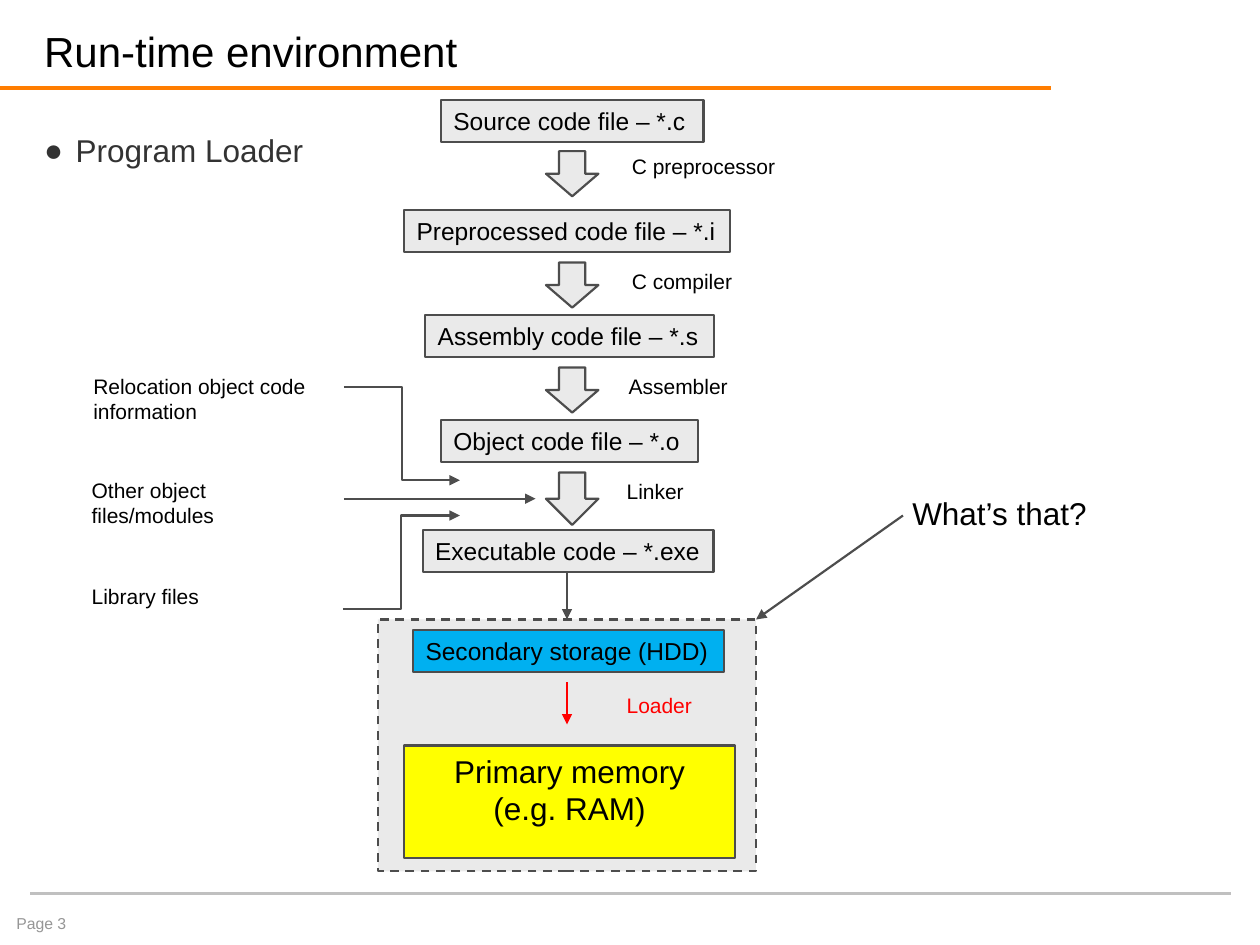
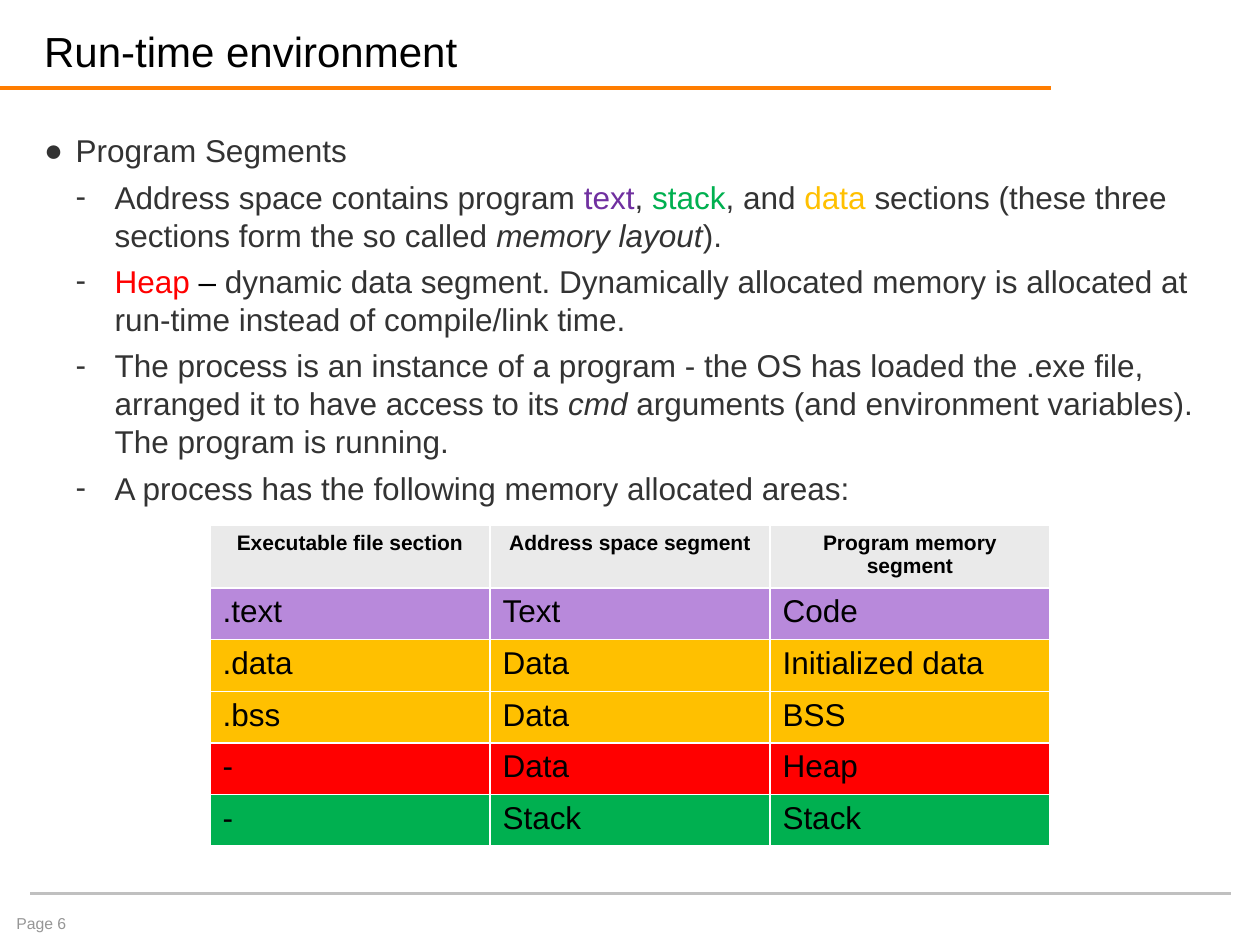
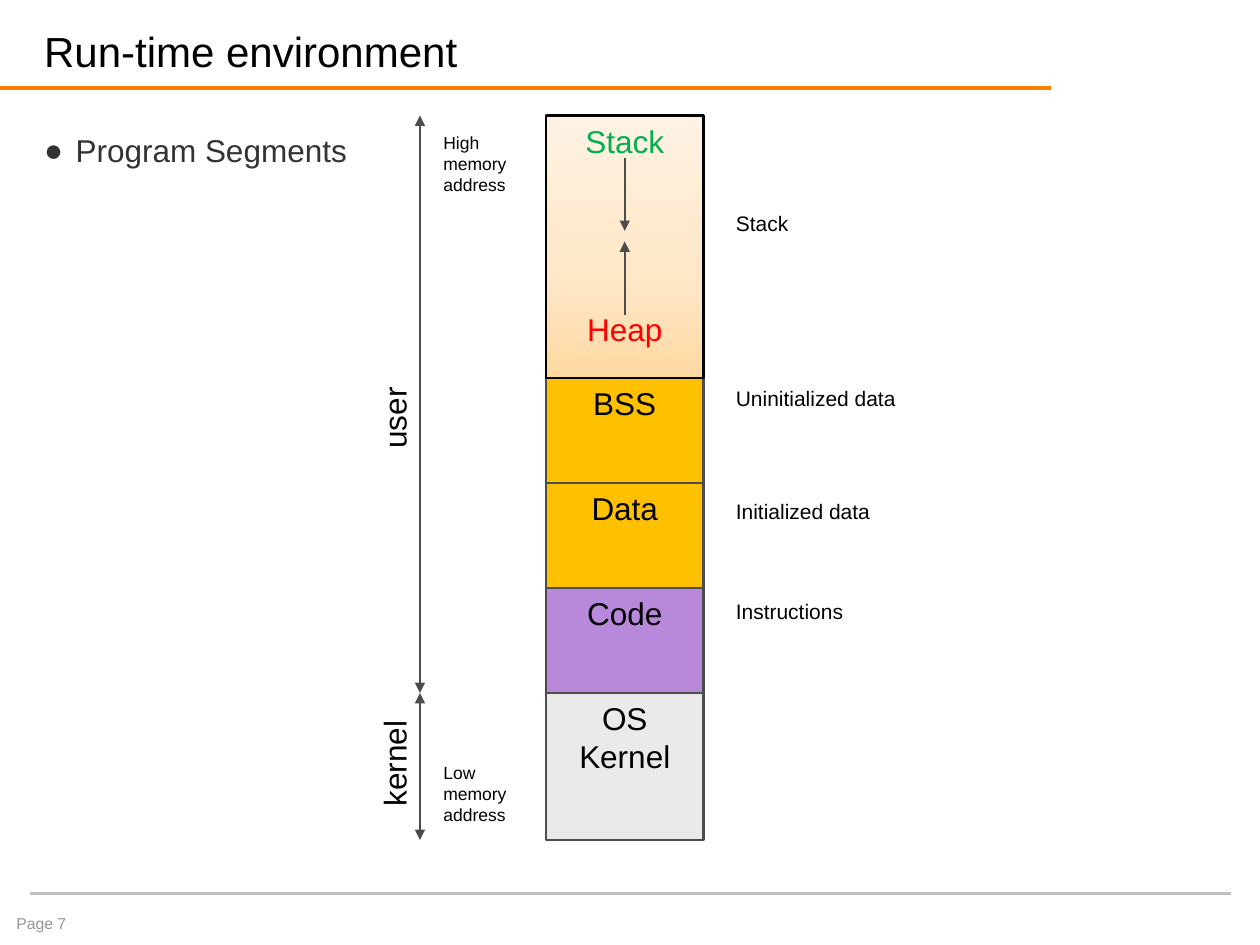
"""Builds three slides on the run-time environment of a C program."""
import copy

import pptx
import pptx.dml.color
import pptx.enum.dml
import pptx.enum.shapes
import pptx.enum.text
import pptx.oxml
import pptx.oxml.ns
import pptx.util

RGBColor = pptx.dml.color.RGBColor
SHAPE = pptx.enum.shapes.MSO_SHAPE
CONNECTOR = pptx.enum.shapes.MSO_CONNECTOR
ANCHOR = pptx.enum.text.MSO_ANCHOR
CENTER = pptx.enum.text.PP_ALIGN.CENTER
qn = pptx.oxml.ns.qn

BLACK = RGBColor(0x00, 0x00, 0x00)
INK = RGBColor(0x33, 0x33, 0x33)
EDGE = RGBColor(0x4D, 0x4D, 0x4D)
PANEL = RGBColor(0xEA, 0xEA, 0xEA)
MUTED = RGBColor(0x96, 0x96, 0x96)
SILVER = RGBColor(0xC0, 0xC0, 0xC0)
ORANGE = RGBColor(0xFF, 0x7D, 0x00)
RED = RGBColor(0xFF, 0x00, 0x00)
GREEN = RGBColor(0x00, 0xB0, 0x50)
AMBER = RGBColor(0xFF, 0xC0, 0x00)
YELLOW = RGBColor(0xFF, 0xFF, 0x00)
CYAN = RGBColor(0x00, 0xB0, 0xF0)
PURPLE = RGBColor(0x70, 0x30, 0xA0)
LILAC = RGBColor(0xB8, 0x89, 0xDB)
STACK_FADE = [
    (0, RGBColor(0xFF, 0xD8, 0xA0)),
    (0.34, RGBColor(0xFF, 0xE6, 0xC5)),
    (1, RGBColor(0xFF, 0xF2, 0xE3)),
]

FONT = "Arial"
CELLS_PER_INCH = 24
COLUMNS, ROWS = 240, 180
ROW = 8
TITLE = "Run-time environment"
ITALIC = {"italic": True}
FLUSH = dict.fromkeys(("margin_left", "margin_top", "margin_right", "margin_bottom"), 0)
BULLETS = [("●", 0.25, 0.25, 0), ("-", 0.56, 0.31, 5)]

STAGES = [
    ("Source code file – *.c", 84, 19, 50, PANEL),
    ("Preprocessed code file – *.i", 77, 40, 62, PANEL),
    ("Assembly code file – *.s", 81, 60, 55, PANEL),
    ("Object code file – *.o", 84, 80, 49, PANEL),
    ("Executable code – *.exe", 80.5, 100.9, 55.4, PANEL),
    ("Secondary storage (HDD)", 78.7, 120, 59.3, CYAN),
]
BLOCK_ARROWS = [(28.8, 8.6), (50, 8.6), (70, 8.6), (90, 10)]
TOOLS = [
    ("C preprocessor", 118, 28, BLACK),
    ("C compiler", 118, 50, BLACK),
    ("Assembler", 117.4, 70, BLACK),
    ("Linker", 117, 90, BLACK),
    ("Loader", 117, 130.8, RED),
]
LINKER_INPUTS = [
    ("Relocation object code information", 15.4, 70),
    ("Other object files/modules", 15.1, 89.8),
    ("Library files", 15.1, 110),
]
FLOWS = [
    (CONNECTOR.STRAIGHT, (108, 109), (108, 118), EDGE),
    (CONNECTOR.STRAIGHT, (108, 130), (108, 138), RED),
    (CONNECTOR.ELBOW, (65.5, 73.7), (87.6, 91.5), EDGE),
    (CONNECTOR.STRAIGHT, (65.5, 95), (102, 95), EDGE),
    (CONNECTOR.ELBOW, (65.3, 116), (87.6, 98.2), EDGE),
    (CONNECTOR.STRAIGHT, (172, 98.2), (144, 118), EDGE),
]

SEGMENT_POINTS = [
    (0, ["Program Segments"]),
    (1, ["Address space contains program ", ("text", {"color": PURPLE}), ", ",
         ("stack", {"color": GREEN}), ", and ", ("data", {"color": AMBER}),
         " sections (these three sections form the so called ",
         ("memory layout", ITALIC), ")."]),
    (1, [("Heap ", {"color": RED}), ("– ", {"color": BLACK}),
         "dynamic data segment. Dynamically allocated memory is allocated at "
         "run-time instead of compile/link time."]),
    (1, ["The process is an instance of a program - the OS has loaded the .exe file, "
         "arranged it to have access to its ", ("cmd", ITALIC),
         " arguments (and environment variables). The program is running."]),
    (1, ["A process has the following memory allocated areas:"]),
]
AREA_HEADS = ["Executable file section", "Address space segment", "Program memory segment"]
AREAS = [
    ((".text", "Text", "Code"), LILAC),
    ((".data", "Data", "Initialized data"), AMBER),
    ((".bss", "Data", "BSS"), AMBER),
    (("-", "Data", "Heap"), RED),
    (("-", "Stack", "Stack"), GREEN),
]

MEMORY_BOTTOM = 160
MEMORY_UPWARD = [("OS Kernel", 28, PANEL), ("Code", 20, LILAC), ("Data", 20, AMBER), ("BSS", 20, AMBER)]
STACK_HEIGHT = 50
MEMORY_NOTES = [
    ("Instructions", 112.8),
    ("Initialized data", 93.8),
    ("Uninitialized data", 72.2),
    ("Stack", 38.9),
]
MODES = [("kernel", 139.2, MEMORY_BOTTOM), ("user", 71, 22)]
MODE_BORDER = 132
ADDRESS_ENDS = [(["Low memory address"], 144), (["High", "memory address"], 24)]


def grid(*cells):
    return [pptx.util.Inches(cell / CELLS_PER_INCH) for cell in cells]


def style_span(span, look):
    for name, value in {"name": FONT, **look}.items():
        if name == "color":
            span.font.color.rgb = value
        else:
            setattr(span.font, name, pptx.util.Pt(value) if name == "size" else value)


def write(frame, paragraphs, size=18, color=BLACK, align=None, bold=False, **frame_look):
    """Fill a text frame; a paragraph is a string or a list of strings and (text, look) pairs."""
    for name, value in {"word_wrap": True, "vertical_anchor": ANCHOR.TOP, **frame_look}.items():
        setattr(frame, name, value)
    for number, content in enumerate(paragraphs):
        para = frame.add_paragraph() if number else frame.paragraphs[0]
        para.alignment = align
        for piece in [content] if isinstance(content, str) else content:
            words, look = (piece, {}) if isinstance(piece, str) else piece
            span = para.add_run()
            span.text = words
            style_span(span, {"size": size, "color": color, "bold": bold, **look})


def add_text(page, area, paragraphs, **look):
    box = page.shapes.add_textbox(*grid(*area))
    write(box.text_frame, paragraphs, **look)
    return box


def add_block(page, area, fill, kind=SHAPE.RECTANGLE, edge=EDGE):
    block = page.shapes.add_shape(kind, *grid(*area))
    block.shadow.inherit = False
    block.fill.solid()
    block.fill.fore_color.rgb = fill
    block.line.color.rgb = edge
    block.line.width = pptx.util.Pt(1.25)
    return block


def add_line(page, start, end, color=EDGE, width=1.25, kind=CONNECTOR.STRAIGHT, ends=()):
    line = page.shapes.add_connector(kind, *grid(*start, *end))
    line.line.color.rgb = color
    line.line.width = pptx.util.Pt(width)
    outline = line.element.spPr.find(qn("a:ln"))
    for end_name in ends:
        outline.append(pptx.oxml.parse_xml(
            f'<a:{end_name} {pptx.oxml.ns.nsdecls("a")} type="triangle"/>'))
    line.element.spPr.append(pptx.oxml.parse_xml(f'<a:effectLst {pptx.oxml.ns.nsdecls("a")}/>'))


def add_bullets(page, points):
    box = add_text(page, (8.4, 25, 223.2, 138.5), [content for _, content in points], color=INK, **FLUSH)
    for para, (level, _) in zip(box.text_frame.paragraphs, points):
        mark, margin, hanging, before = BULLETS[level]
        para.level = level
        para.space_before = pptx.util.Pt(before)
        props = para._p.get_or_add_pPr()
        props.set("marL", str(pptx.util.Inches(margin)))
        props.set("indent", str(-pptx.util.Inches(hanging)))
        for xml in (f'<a:buClr {{}}><a:srgbClr val="{INK}"/></a:buClr>',
                    f'<a:buFont {{}} typeface="{FONT}"/>',
                    f'<a:buChar {{}} char="{mark}"/>'):
            props.append(pptx.oxml.parse_xml(xml.format(pptx.oxml.ns.nsdecls("a"))))


def add_page(deck, number, points):
    page = deck.slides.add_slide(deck.slide_layouts[6])
    add_line(page, (-0.5, 16.8), (200.2, 16.8), ORANGE, 2.25)
    add_line(page, (5.8, 170.2), (234.5, 170.2), SILVER, 1.5)
    add_text(page, (8.4, 3.1, 191.5, 11.3), [TITLE], size=24, **{**FLUSH, "vertical_anchor": ANCHOR.BOTTOM})
    add_text(page, (0.75, 172.8, 28.8, 7.2), [f"Page {number}"], size=9, color=MUTED)
    add_bullets(page, points)
    return page


def build_loader(deck):
    page = add_page(deck, 3, [(0, ["Program Loader"])])
    panel = add_block(page, (72, 118, 72, 48), PANEL)
    panel.line.dash_style = pptx.enum.dml.MSO_LINE.DASH
    for label, left, top, width, fill in STAGES:
        stage = add_block(page, (left, top, width, ROW), fill)
        write(stage.text_frame, [label], size=14, margin_right=0)
    for top, height in BLOCK_ARROWS:
        add_block(page, (104, top, 10, height), PANEL, SHAPE.DOWN_ARROW)
    for label, left, top, color in TOOLS:
        add_text(page, (left, top, 34, 7.2), [label], size=12, color=color)
    memory = add_block(page, (77, 142, 63, 21.4), YELLOW)
    write(memory.text_frame, ["Primary memory", "(e.g. RAM)"], align=CENTER)
    for label, left, top in LINKER_INPUTS:
        add_text(page, (left, top, 50.2, 12), [label], size=12)
    for kind, start, end, color in FLOWS:
        add_line(page, start, end, color, kind=kind, ends=["tailEnd"])
    add_text(page, (171.4, 92.9, 42, 9.6), ["What’s that?"])


def build_segments(deck):
    page = add_page(deck, 6, SEGMENT_POINTS)
    rows = [(AREA_HEADS, PANEL)] + AREAS
    table = page.shapes.add_table(len(rows), len(AREA_HEADS), *grid(40, 100, 160, 57.2)).table
    for number, (labels, fill) in enumerate(rows):
        table.rows[number].height = pptx.util.Inches(0.41 if number else 0.35)
        look = {} if number else {"size": 12, "bold": True, "align": CENTER}
        for column, label in enumerate(labels):
            cell = table.cell(number, column)
            cell.fill.solid()
            cell.fill.fore_color.rgb = fill
            write(cell.text_frame, [label], **look)


def fade(block, stops):
    block.fill.gradient()
    block.fill.gradient_angle = 90
    stop_list = block.element.spPr.find(qn("a:gradFill")).find(qn("a:gsLst"))
    stop_list.append(copy.deepcopy(stop_list[0]))
    for stop, (position, color) in zip(block.fill.gradient_stops, stops):
        stop.position = position
        stop.color.rgb = color


def build_memory(deck):
    page = add_page(deck, 7, [(0, ["Program Segments"])])
    top = MEMORY_BOTTOM
    for label, height, fill in MEMORY_UPWARD:
        top -= height
        segment = add_block(page, (104, top, 30, height), fill)
        write(segment.text_frame, [label], align=CENTER)
    stack = add_block(page, (104, top - STACK_HEIGHT, 30, STACK_HEIGHT), PANEL, edge=BLACK)
    fade(stack, STACK_FADE)
    write(stack.text_frame, [[("Stack", {"color": GREEN})], [("Heap", {"color": RED})]], align=CENTER)
    stack.text_frame.paragraphs[1].space_before = pptx.util.Pt(86)
    for start, end in ((60, 46), (30, 44)):
        add_line(page, (119, start), (119, end), ends=["tailEnd"])
    for label, note_top in MEMORY_NOTES:
        add_text(page, (137.8, note_top, 52, 7.2), [label], size=12)
    for label, label_top, limit in MODES:
        add_line(page, (80, MODE_BORDER), (80, limit), ends=["headEnd", "tailEnd"])
        add_text(page, (63.1, label_top, 24, 9.6), [label]).rotation = 270
    for lines, address_top in ADDRESS_ENDS:
        add_text(page, (82.1, address_top, 20, 14.6), lines, size=10)


def main():
    deck = pptx.Presentation()
    deck.slide_width, deck.slide_height = grid(COLUMNS, ROWS)
    for build in (build_loader, build_segments, build_memory):
        build(deck)
    deck.save("out.pptx")


if __name__ == "__main__":
    main()
